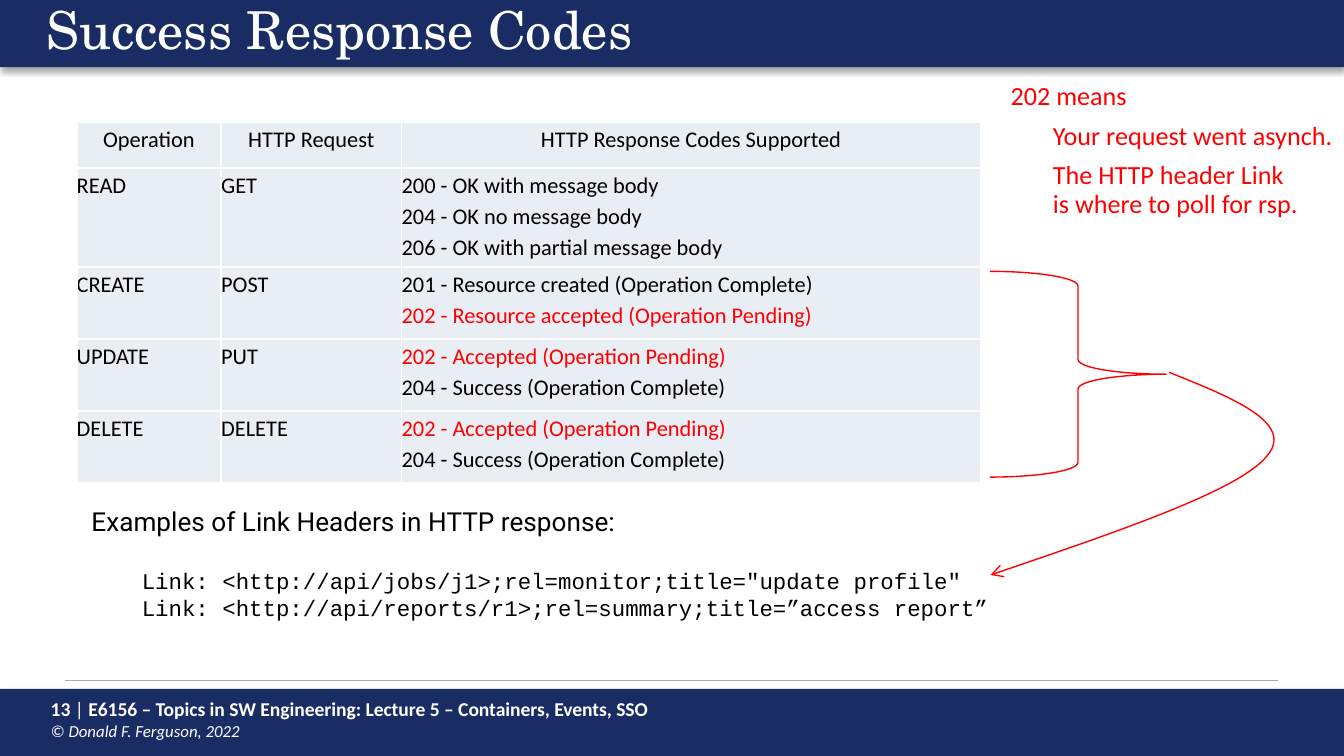
from lxml import etree
from pptx import Presentation
from pptx.dml.color import RGBColor
from pptx.enum.shapes import MSO_CONNECTOR, MSO_SHAPE
from pptx.enum.text import MSO_ANCHOR, MSO_AUTO_SIZE, PP_ALIGN
from pptx.oxml import parse_xml
from pptx.oxml.ns import nsdecls, qn
from pptx.util import Cm, Pt

COLORS = {
    "navy": "1A2C64", "white": "FFFFFF", "black": "000000",
    "red": "FF0000", "cell": "E9EDF4", "rule": "AAAAAA",
}


def rgb(name):
    return RGBColor.from_string(COLORS[name])


def style(font, size, face, color):
    font.size, font.name = Pt(size), face
    font.color.rgb = rgb(color)


prs = Presentation()
prs.slide_width, prs.slide_height = Cm(25.4), Cm(14.29)
slide = prs.slides.add_slide(prs.slide_layouts[5])
shapes = slide.shapes

# Header and footer bars with a soft shadow
for top in (13.02, 0):
    bar = shapes.add_shape(MSO_SHAPE.RECTANGLE, 0, Cm(top), Cm(25.4), Cm(1.27))
    bar.fill.solid()
    bar.fill.fore_color.rgb = rgb("navy")
    bar.line.fill.background()
    bar.shadow.inherit = False
    effects = bar.element.spPr.find(qn("a:effectLst"))
    effects.append(parse_xml(
        f'<a:outerShdw {nsdecls("a")} blurRad="39370" dist="22860" dir="5400000">'
        f'<a:srgbClr val="{COLORS["black"]}"><a:alpha val="35000"/></a:srgbClr>'
        '</a:outerShdw>'))

# Title, raised above the header bar
title = shapes.title
shapes.element.append(title.element)
title.left, title.top, title.width, title.height = Cm(0.63), Cm(-0.05), Cm(23.01), Cm(1.25)
title.text_frame.text = "Success Response Codes"
title.text_frame.auto_size = MSO_AUTO_SIZE.NONE
title.text_frame.vertical_anchor = MSO_ANCHOR.TOP
title.text_frame.margin_bottom = 0
heading = title.text_frame.paragraphs[0]
heading.alignment = PP_ALIGN.LEFT
heading.line_spacing = 0.9
style(heading.font, 28, "TeX Gyre Schola", "white")

# Footer rule and text
rule = shapes.add_connector(MSO_CONNECTOR.STRAIGHT, Cm(1.22), Cm(12.86), Cm(24.16), Cm(12.86))
rule.line.color.rgb = rgb("rule")
rule.line.width = Pt(0.75)
etree.SubElement(rule.element.spPr, qn("a:effectLst"))

footer = shapes.add_textbox(Cm(0.71), Cm(13.05), Cm(18.85), Cm(1.09)).text_frame
footer.word_wrap = True
footer_line = footer.paragraphs[0]
for text, size, bold, italic in (
    ("13 ", 10.5, True, False),
    ("|", 10.5, False, False),
    (" E6156 – Topics in SW Engineering: Lecture 5 – Containers, Events, SSO", 10.5, True, False),
    ("© Donald F. Ferguson, 2022", 9, False, True),
):
    if italic:
        footer_line.add_line_break()
    run = footer_line.add_run()
    run.text = text
    style(run.font, size, "Calibri", "white")
    run.font.bold, run.font.italic = bold, italic

# Table of response codes
rows = [
    ("Operation", "HTTP Request", "HTTP Response Codes Supported"),
    ("READ", "GET", "200 - OK with message body\n204 - OK no message body\n"
                    "206 - OK with partial message body"),
    ("CREATE", "POST", "201 - Resource created (Operation Complete)\n"
                       "202 - Resource accepted (Operation Pending)"),
    ("UPDATE", "PUT", "202 - Accepted (Operation Pending)\n204 - Success (Operation Complete)"),
    ("DELETE", "DELETE", "202 - Accepted (Operation Pending)\n204 - Success (Operation Complete)"),
]
codes = shapes.add_table(5, 3, Cm(1.45), Cm(2.31), Cm(17.09), Cm(6.83)).table
for column, width in zip(codes.columns, (2.73, 3.41, 10.95)):
    column.width = Cm(width)
for row, height in zip(codes.rows, (0.86, 1.88, 1.36, 1.36, 1.36)):
    row.height = Cm(height)
for r, texts in enumerate(rows):
    for c, text in enumerate(texts):
        cell = codes.cell(r, c)
        cell.margin_left = cell.margin_right = cell.margin_top = cell.margin_bottom = 0
        cell_props = cell._tc.get_or_add_tcPr()
        for side in ("lnL", "lnR", "lnT", "lnB"):
            cell_props.append(parse_xml(
                f'<a:{side} {nsdecls("a")} w="12700"><a:solidFill>'
                f'<a:srgbClr val="{COLORS["white"]}"/></a:solidFill></a:{side}>'))
        cell.fill.solid()
        cell.fill.fore_color.rgb = rgb("cell")
        cell.text = text
        for line in cell.text_frame.paragraphs:
            line.alignment = PP_ALIGN.LEFT if r else PP_ALIGN.CENTER
            line.line_spacing = 1.15
            style(line.font, 12, "Calibri", "red" if line.text.startswith("202") else "black")
            line.font.bold = False

# Link header examples
examples = shapes.add_textbox(Cm(1.48), Cm(9.43), Cm(18.85), Cm(2.49)).text_frame
examples.word_wrap = True
examples.text = (
    "Examples of Link Headers in HTTP response:\n"
    'Link: <http://api/jobs/j1>;rel=monitor;title="update profile"\n'
    "Link: <http://api/reports/r1>;rel=summary;title=”access report”"
)
intro, *links = examples.paragraphs
style(intro.font, 14, "Roboto", "black")
for link in links:
    link._p.get_or_add_pPr().set("marL", str(Cm(0.95)))
    style(link.font, 12, "Courier New", "black")
links[0].space_before = Pt(16.4)

# Brace around the rows that may answer 202
brace = shapes.add_shape(MSO_SHAPE.RIGHT_BRACE, Cm(18.71), Cm(5.13), Cm(3.33), Cm(3.89))

# Curved arrow from the brace to the examples: two Bezier pieces
bends = [
    ((22.1, 7.04), (23.29, 7.52), (24.51, 8), (23.93, 8.64)),
    ((23.93, 8.64), (23.37, 9.3), (21.03, 10.08), (18.72, 10.87)),
]
steps = 24
curve = []
for bend in bends:
    for step in range(1, steps + 1):
        t = step / steps
        weights = ((1 - t) ** 3, 3 * t * (1 - t) ** 2, 3 * t ** 2 * (1 - t), t ** 3)
        curve.append(tuple(Cm(sum(w * p[axis] for w, p in zip(weights, bend))) for axis in (0, 1)))
builder = shapes.build_freeform(Cm(22.1), Cm(7.04))
builder.add_line_segments(curve, close=False)
arrow = builder.convert_to_shape()

for mark in (brace, arrow):
    mark.fill.background()
    mark.line.color.rgb = rgb("red")
    mark.line.width = Pt(0.75)
    mark.shadow.inherit = False
etree.SubElement(arrow.element.spPr.find(qn("a:ln")), qn("a:tailEnd"), type="arrow")

# Note on what 202 means
note = shapes.add_textbox(Cm(18.85), Cm(1.45), Cm(6.55), Cm(2.74)).text_frame
note.word_wrap = False
note.margin_right = 0
note.text = ("202 means\nYour request went asynch.\n"
             "The HTTP header Link\vis where to poll for rsp.")
for i, line in enumerate(note.paragraphs):
    line.alignment = PP_ALIGN.LEFT
    line.line_spacing = 0.9
    if i:
        line.space_before = Pt(6)
        line._p.get_or_add_pPr().set("marL", str(Cm(0.8)))
    style(line.font, 14, "Calibri", "red")

prs.save("out.pptx")
